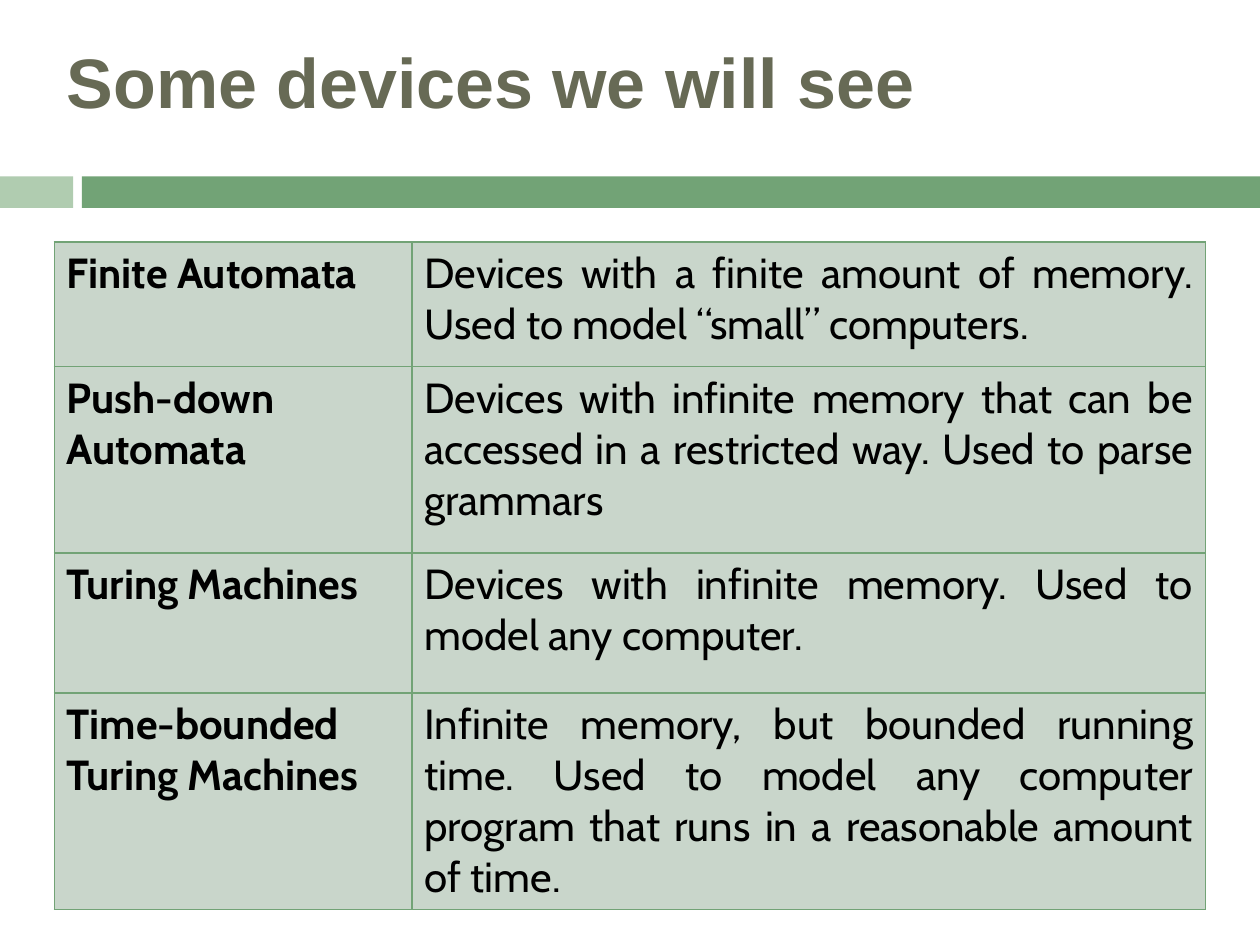
from lxml import etree
from pptx import Presentation
from pptx.dml.color import RGBColor
from pptx.enum.shapes import MSO_SHAPE
from pptx.enum.text import MSO_ANCHOR, MSO_AUTO_SIZE, PP_ALIGN
from pptx.oxml.ns import qn
from pptx.util import Inches, Pt

COLORS = {
    "title": "676A55",
    "text": "000000",
    "accent": "72A376",
    "accent_light": "B0CCB0",
    "cell": "C9D6CB",
}

DEVICES = [
    ("Finite Automata",
     "Devices with a finite amount of memory. Used to model “small” computers.", 0.99),
    ("Push-down Automata",
     "Devices with infinite memory that can be accessed in a restricted way. "
     "Used to parse grammars", 1.48),
    ("Turing Machines",
     "Devices with infinite memory. Used to model any computer.", 1.11),
    ("Time-bounded Turing Machines",
     "Infinite memory, but bounded running time. Used to model any computer program "
     "that runs in a reasonable amount of time.", 1.72),
]


def color(name):
    return RGBColor.from_string(COLORS[name])


def write(frame, text, *, size, font, fill, bold=False, align=PP_ALIGN.LEFT):
    frame.word_wrap = True
    paragraph = frame.paragraphs[0]
    paragraph.alignment = align
    paragraph.space_before = Pt(0)
    run = paragraph.add_run()
    run.text = text
    run.font.size = Pt(size)
    run.font.name = font
    run.font.bold = bold
    run.font.color.rgb = color(fill)


def set_border(cell, side, width):
    line = etree.SubElement(cell._tc.get_or_add_tcPr(), qn(f"a:ln{side}"), w=str(Pt(width)))
    fill = etree.SubElement(line, qn("a:solidFill"))
    etree.SubElement(fill, qn("a:srgbClr"), val=COLORS["accent"])


def add_title(slide, left, top, width, height):
    title = slide.shapes.title
    title.left, title.top, title.width, title.height = map(Inches, (left, top, width, height))
    frame = title.text_frame
    frame.auto_size = MSO_AUTO_SIZE.NONE
    frame.vertical_anchor = MSO_ANCHOR.MIDDLE
    write(frame, "Some devices we will see", size=40, font="Arial", fill="title", bold=True)


def add_band(slide, left, top, width, height):
    tab_width, gap = 0.58, 0.07
    bar_offset = tab_width + gap
    for offset, part_width, fill in (
        (0, tab_width, "accent_light"),
        (bar_offset, width - bar_offset, "accent"),
    ):
        part = slide.shapes.add_shape(
            MSO_SHAPE.RECTANGLE,
            Inches(left + offset), Inches(top), Inches(part_width), Inches(height))
        part.shadow.inherit = False
        part.fill.solid()
        part.fill.fore_color.rgb = color(fill)
        part.line.fill.background()


def add_device_table(slide, left, top, width, height):
    name_width = 2.84
    table = slide.shapes.add_table(
        len(DEVICES), 2, Inches(left), Inches(top), Inches(width), Inches(height)).table
    table.first_row = table.horz_banding = False
    table.columns[0].width = Inches(name_width)
    table.columns[1].width = Inches(width - name_width)
    for row, (name, description, row_height) in enumerate(DEVICES):
        table.rows[row].height = Inches(row_height)
        for column, text in enumerate((name, description)):
            cell = table.cell(row, column)
            is_name = column == 0
            write(cell.text_frame, text, size=24, font="Cabin", fill="text",
                  bold=is_name, align=PP_ALIGN.JUSTIFY)
            for side in "LRTB":
                is_divider = side == ("R" if is_name else "L")
                set_border(cell, side, 1.5 if is_divider else 0.79)
            cell.fill.solid()
            cell.fill.fore_color.rgb = color("cell")


def main():
    deck = Presentation()
    deck.slide_width, deck.slide_height = Inches(10), Inches(7.5)
    slide = deck.slides.add_slide(deck.slide_layouts[5])
    add_band(slide, 0, 1.4, 10, 0.25)
    add_title(slide, 0.43, 0.28, 9.14, 0.72)
    add_device_table(slide, 0.43, 1.92, 9.14, 5.3)
    deck.save("out.pptx")


if __name__ == "__main__":
    main()
